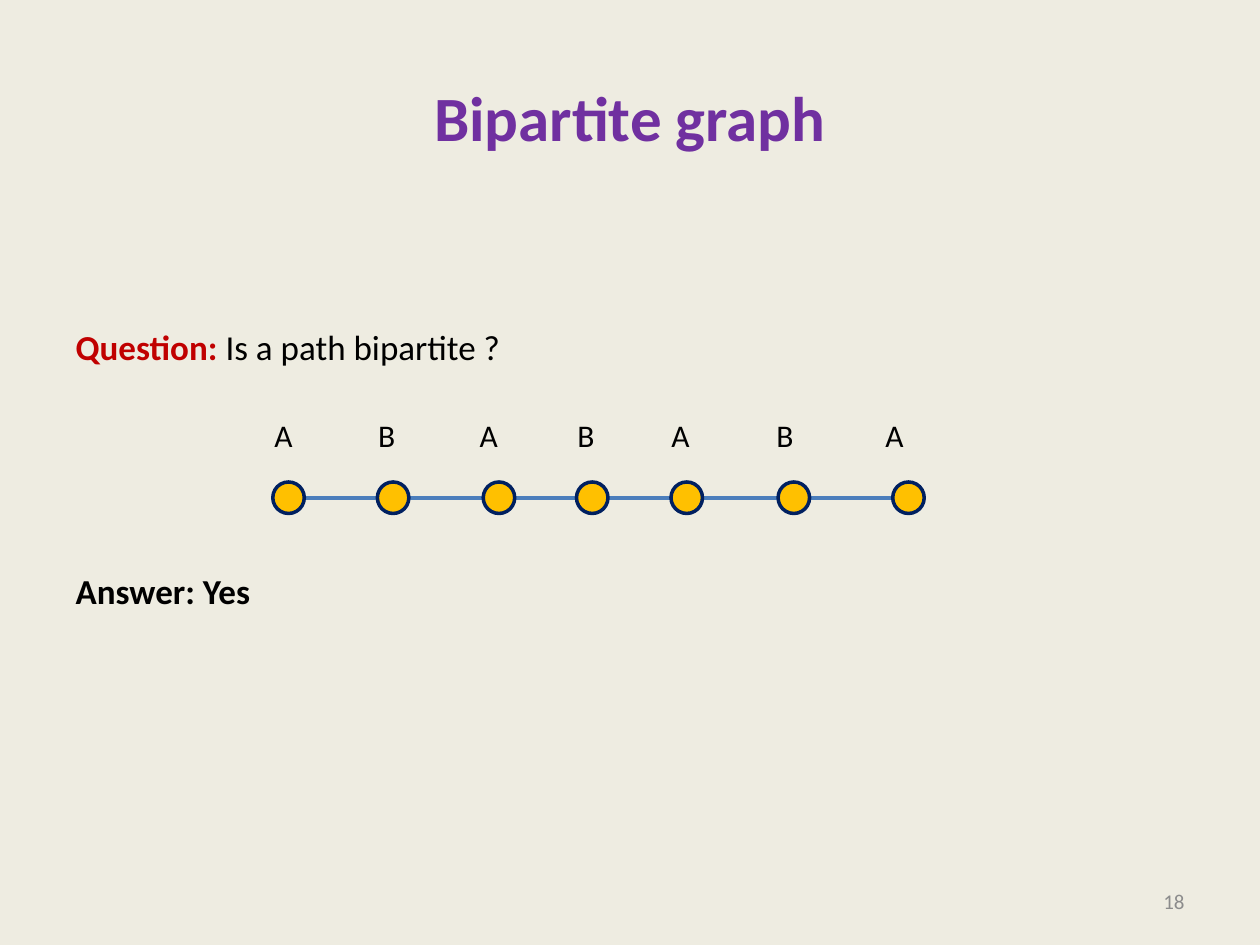
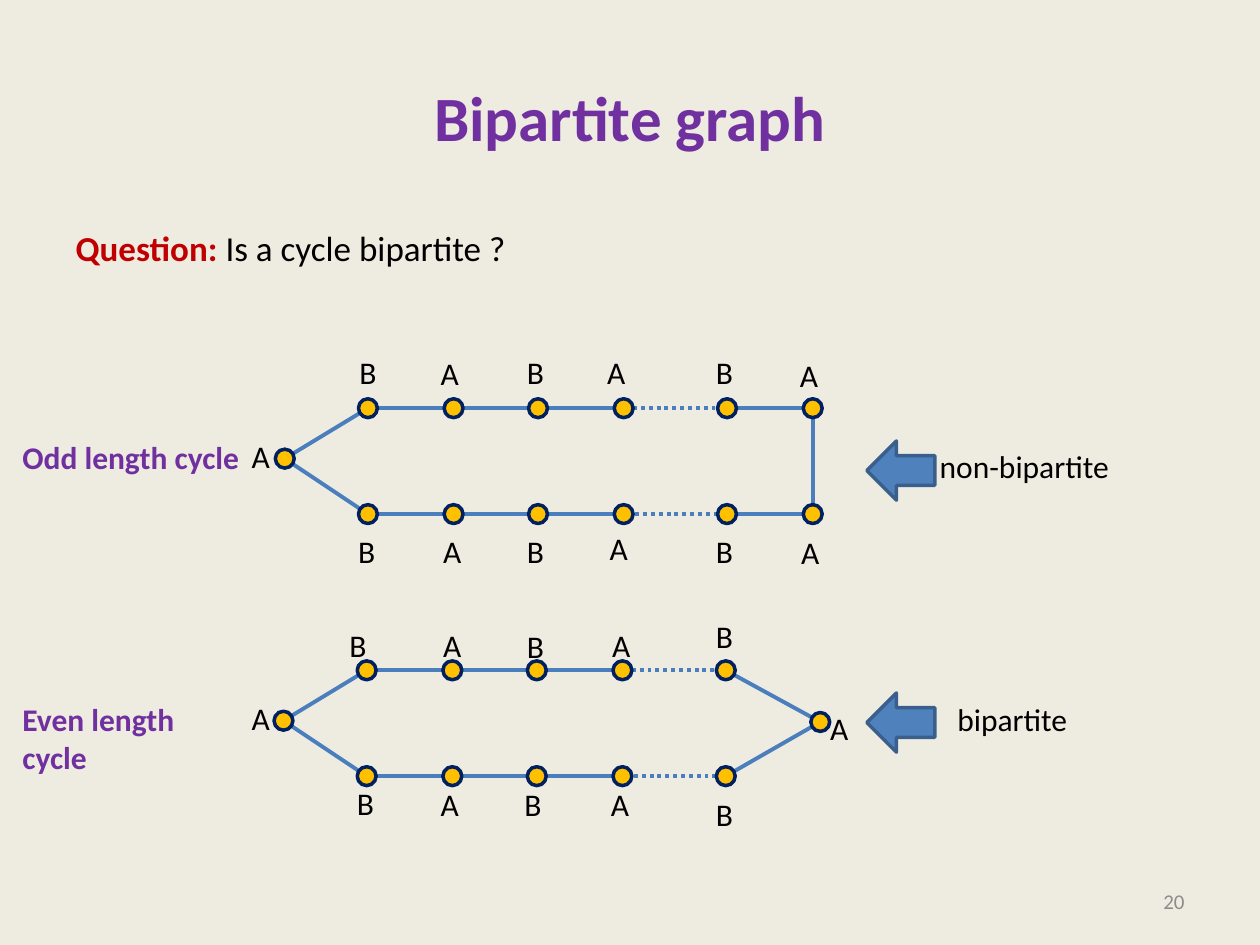
from dataclasses import dataclass
from math import hypot

from lxml import etree
from pptx import Presentation
from pptx.dml.color import RGBColor
from pptx.enum import dml, shapes, text
from pptx.oxml import ns
from pptx.util import Inches, Pt


@dataclass(frozen=True)
class Theme:
    font: str = "Calibri"
    back: str = "EEECE1"
    title: str = "7030A0"
    ask: str = "C00000"
    ink: str = "000000"
    page: str = "8C8C8C"
    node: str = "FFC000"
    rim: str = "002060"
    edge: str = "4B7EBC"
    arrow: str = "4F81BD"
    border: str = "3A5F8C"
    head: int = 36
    body: int = 20
    label: int = 18
    small: int = 12
    thin: float = 2
    thick: float = 2.25


THEME = Theme()
ALIGN = text.PP_ALIGN
SHAPE = shapes.MSO_SHAPE


def rgb(code):
    return RGBColor.from_string(code)


def place(item, left, top, width, height):
    item.left, item.top = Inches(left), Inches(top)
    item.width, item.height = Inches(width), Inches(height)


def add_run(para, words, size, color=THEME.ink, bold=False):
    run = para.add_run()
    run.text = words
    font = run.font
    font.name, font.size, font.bold = THEME.font, Pt(size), bold
    font.color.rgb = rgb(color)


def add_slide(prs, number, top):
    slide = prs.slides.add_slide(prs.slide_layouts[1])
    title = slide.shapes.title
    place(title, 0.5, 0.3, 9, 1.25)
    title.text_frame.vertical_anchor = text.MSO_ANCHOR.MIDDLE
    para = title.text_frame.paragraphs[0]
    para.alignment = ALIGN.CENTER
    add_run(para, "Bipartite graph", THEME.head, THEME.title, True)
    place(slide.placeholders[1], 0.5, top, 9, 6.7 - top)
    page = add_text(slide, number, 7.17, 6.95, 2.33, THEME.small, THEME.page,
                    align=ALIGN.RIGHT)
    page.text_frame.vertical_anchor = text.MSO_ANCHOR.MIDDLE
    page.text_frame.word_wrap = True
    return slide


def add_body(slide, rows, gap=0):
    frame = slide.placeholders[1].text_frame
    for index, runs in enumerate(rows):
        para = frame.add_paragraph() if index else frame.paragraphs[0]
        props = para._p.get_or_add_pPr()
        props.set("marL", "0")
        props.set("indent", "0")
        etree.SubElement(props, ns.qn("a:buNone"))
        para.space_before = Pt(gap if index else 0)
        for words, color, bold in runs:
            add_run(para, words, THEME.body, color, bold)


def ask(words):
    return [("Question: ", THEME.ask, True), (words, THEME.ink, False)]


def add_text(slide, words, left, top, width, size=THEME.label,
             color=THEME.ink, bold=False, align=ALIGN.LEFT):
    box = slide.shapes.add_textbox(Inches(left), Inches(top),
                                   Inches(width), Inches(0.4))
    box.text_frame.word_wrap = False
    para = box.text_frame.paragraphs[0]
    para.alignment = align
    add_run(para, words, size, color, bold)
    return box


def add_label(slide, letter, x, top):
    box = add_text(slide, letter, x - 0.17, top, 0.34, align=ALIGN.CENTER)
    box.text_frame.margin_left = box.text_frame.margin_right = 0


def add_labels(slide, letters, spots):
    for index, (x, top) in enumerate(spots):
        add_label(slide, letters[index % 2], x, top)


def add_solid(slide, kind, left, top, width, height, fill, line):
    item = slide.shapes.add_shape(kind, Inches(left), Inches(top),
                                  Inches(width), Inches(height))
    item.shadow.inherit = False
    item.fill.solid()
    item.fill.fore_color.rgb = rgb(fill)
    item.line.color.rgb = rgb(line)
    item.line.width = Pt(THEME.thin)


def add_node(slide, x, y, size):
    add_solid(slide, SHAPE.OVAL, x - size / 2, y - size / 2, size, size,
              THEME.node, THEME.rim)


def add_edge(slide, start, end, size, dotted=False):
    (ax, ay), (bx, by) = start, end
    ratio = size / 2 / hypot(bx - ax, by - ay)
    dx, dy = (bx - ax) * ratio, (by - ay) * ratio
    ends = [Inches(v) for v in (ax + dx, ay + dy, bx - dx, by - dy)]
    link = slide.shapes.add_connector(shapes.MSO_CONNECTOR.STRAIGHT, *ends)
    link.line.color.rgb = rgb(THEME.edge)
    link.line.width = Pt(THEME.thick)
    if dotted:
        link.line.dash_style = dml.MSO_LINE.ROUND_DOT
    etree.SubElement(link._element.spPr, ns.qn("a:effectLst"))


def add_graph(slide, nodes, size, closed=False, dots=()):
    ends = nodes[1:] + nodes[:1] if closed else nodes[1:]
    for index, (start, end) in enumerate(zip(nodes, ends)):
        add_edge(slide, start, end, size, index in dots)
    for x, y in nodes:
        add_node(slide, x, y, size)


def add_cycle(slide, x, y, name, odd, upper, lower):
    steps = [0.66, 1.34, 2.01, 2.69, 3.51] + ([4.19] if odd else [])
    over = [(x + step, y - 0.4) for step in steps]
    under = [(x + step, y + 0.44) for step in reversed(steps)]
    tip = [] if odd else [(x + 4.26, y + 0.01)]
    nodes = [(x, y)] + over + tip + under
    add_graph(slide, nodes, 0.15, True, (4, len(nodes) - 5))
    add_text(slide, name, 0.08, y - 0.21, 1.96, color=THEME.title, bold=True)
    add_label(slide, "A", 2.07, y - 0.22)
    add_labels(slide, "BA", upper)
    add_labels(slide, "BA", lower)


def add_verdict(slide, words, left, top, width, arrow):
    add_solid(slide, SHAPE.LEFT_ARROW, 6.88, arrow, 0.54, 0.47,
              THEME.arrow, THEME.border)
    add_text(slide, words, left, top, width)


def add_path(prs):
    slide = add_slide(prs, "18", 2.53)
    add_body(slide, [ask("Is a path bipartite ?"),
                     [("Answer: Yes", THEME.ink, True)]], 115.5)
    spots = [2.29, 3.12, 3.96, 4.7, 5.45, 6.3, 7.21]
    add_graph(slide, [(x, 3.95) for x in spots], 0.25)
    marks = [2.25, 3.07, 3.88, 4.65, 5.4, 6.23, 7.1]
    add_labels(slide, "AB", [(x, 3.25) for x in marks])


def add_cycles(prs):
    slide = add_slide(prs, "20", 1.75)
    add_body(slide, [ask("Is a cycle bipartite ?")])
    add_cycle(slide, 2.26, 3.64, "Odd length cycle", True,
              [(2.92, 2.75), (3.57, 2.76), (4.25, 2.75),
               (4.89, 2.75), (5.75, 2.75), (6.42, 2.78)],
              [(2.91, 4.17), (3.59, 4.17), (4.25, 4.17),
               (4.91, 4.15), (5.75, 4.17), (6.43, 4.18)])
    add_cycle(slide, 2.25, 5.72, "Even length cycle", False,
              [(2.84, 4.92), (3.59, 4.92), (4.25, 4.93),
               (4.93, 4.92), (5.75, 4.85)],
              [(2.9, 6.17), (3.57, 6.18), (4.23, 6.18),
               (4.92, 6.18), (5.75, 6.26)])
    add_label(slide, "A", 6.66, 5.58)
    add_verdict(slide, "non-bipartite", 7.36, 3.5, 1.56, 3.5)
    add_verdict(slide, "bipartite", 7.5, 5.51, 1.08, 5.5)


def main():
    prs = Presentation()
    prs.slide_width, prs.slide_height = Inches(10), Inches(7.5)
    back = prs.slide_master.background.fill
    back.solid()
    back.fore_color.rgb = rgb(THEME.back)
    add_path(prs)
    add_cycles(prs)
    prs.save("out.pptx")


if __name__ == "__main__":
    main()
